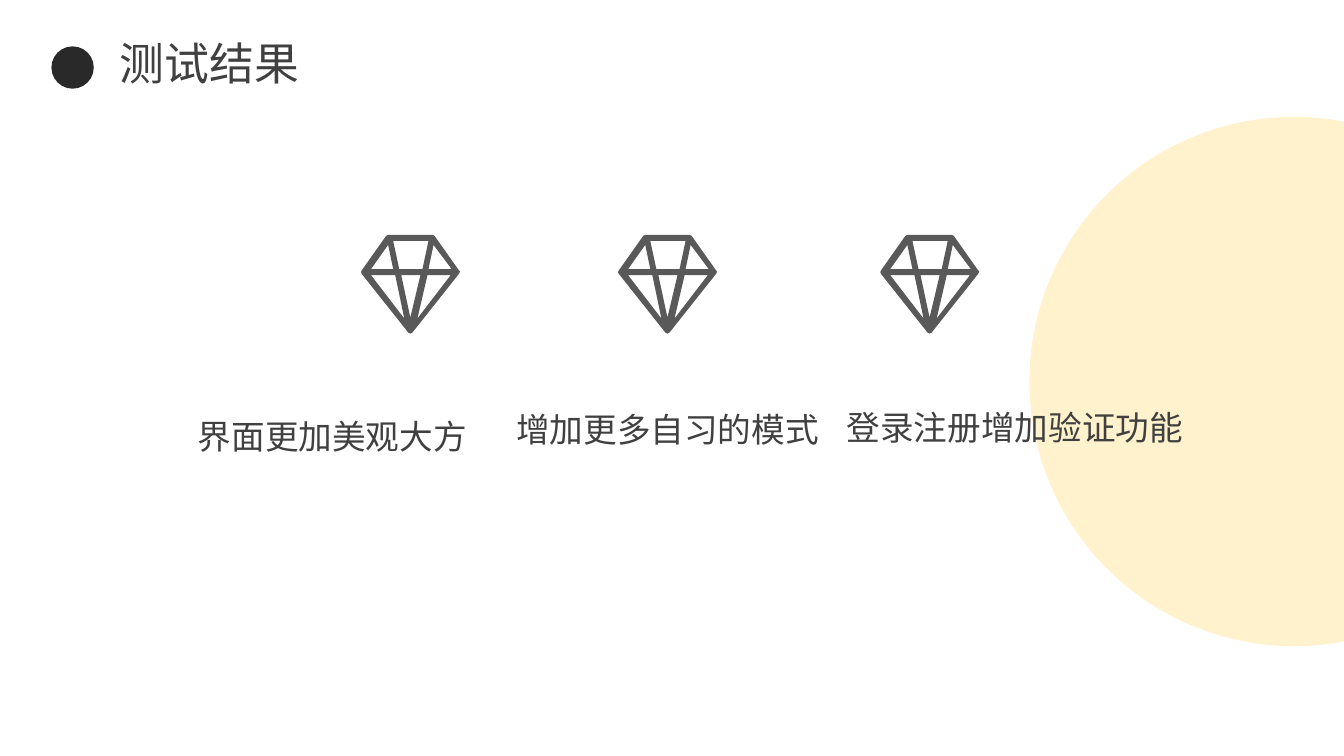
from pptx import Presentation
from pptx.dml.color import RGBColor
from pptx.enum.shapes import MSO_SHAPE
from pptx.enum.text import MSO_ANCHOR, MSO_AUTO_SIZE, PP_ALIGN
from pptx.util import Inches, Pt

OVAL = MSO_SHAPE.OVAL
TOP = MSO_ANCHOR.TOP
GROW = MSO_AUTO_SIZE.SHAPE_TO_FIT_TEXT
LEFT, CENTER = PP_ALIGN.LEFT, PP_ALIGN.CENTER

COLORS = {"dot": "292929", "text": "404040", "disc": "FFF2CC", "gem": "595959"}
FONT = "Arial"

RIM = [(98, 36), (97, 35), (73, 1), (71, 0), (27, 0), (25, 1), (1, 35),
       (0, 37), (1, 39), (47, 97), (49, 98), (51, 97), (97, 39), (98, 37)]
FACETS = [
    [(67, 6), (61, 34), (38, 34), (32, 6)],
    [(27, 10), (32, 34), (10, 34)],
    [(10, 40), (34, 40), (43, 83)],
    [(49, 82), (40, 40), (59, 40)],
    [(56, 83), (66, 40), (89, 40)],
    [(67, 34), (72, 10), (90, 34)],
]

ITEMS = [
    ("界面更加美观大方", 3.58, (1.69, 3.88, 3.21, 0.71), 1.5),
    ("增加更多自习的模式", 6.13, (4.87, 4.01, 3.5, 0.5), 1),
    ("登录注册增加验证功能", 8.73, (8.24, 3.99, 3.65, 0.5), 1),
]


def paint(shape, name):
    shape.shadow.inherit = False
    shape.fill.solid()
    shape.fill.fore_color.rgb = RGBColor.from_string(COLORS[name])
    shape.line.fill.background()


def write(shape, text, size=24, align=CENTER, wrap=True, space=1):
    frame = shape.text_frame
    frame.text = text
    frame.word_wrap = wrap
    frame.auto_size = GROW
    frame.vertical_anchor = TOP
    para = frame.paragraphs[0]
    para.alignment = align
    para.line_spacing = space
    font = para.runs[0].font
    font.name = FONT
    font.size = Pt(size)
    font.color.rgb = RGBColor.from_string(COLORS["text"])


def add_disc(slide, left, top, size, name):
    disc = slide.shapes.add_shape(
        OVAL, Inches(left), Inches(top), Inches(size), Inches(size))
    paint(disc, name)


def add_head(slide, left, top, width, height):
    add_disc(slide, left, top + 0.16, 0.42, "dot")
    title = slide.shapes.title
    title.left, title.top = Inches(left + 0.58), Inches(top)
    title.width, title.height = Inches(width - 0.58), Inches(height)
    write(title, "测试结果", size=32, align=LEFT, wrap=False)


def add_gem(slide, left, top):
    pen = slide.shapes.build_freeform(*RIM[0], scale=Inches(0.01))
    pen.add_line_segments(RIM[1:], close=True)
    for facet in FACETS:
        pen.move_to(*facet[0])
        pen.add_line_segments(facet[1:], close=True)
    paint(pen.convert_to_shape(Inches(left), Inches(top)), "gem")


def add_item(slide, text, gem_left, box, space):
    add_gem(slide, gem_left, 2.33)
    label = slide.shapes.add_textbox(*map(Inches, box))
    write(label, text, space=space)


def main():
    deck = Presentation()
    deck.slide_width, deck.slide_height = Inches(13.33), Inches(7.5)
    slide = deck.slides.add_slide(deck.slide_layouts[5])
    add_head(slide, 0.51, 0.3, 2.58, 0.64)
    add_disc(slide, 10.21, 1.16, 5.25, "disc")
    for item in ITEMS:
        add_item(slide, *item)
    deck.save("out.pptx")


if __name__ == "__main__":
    main()
